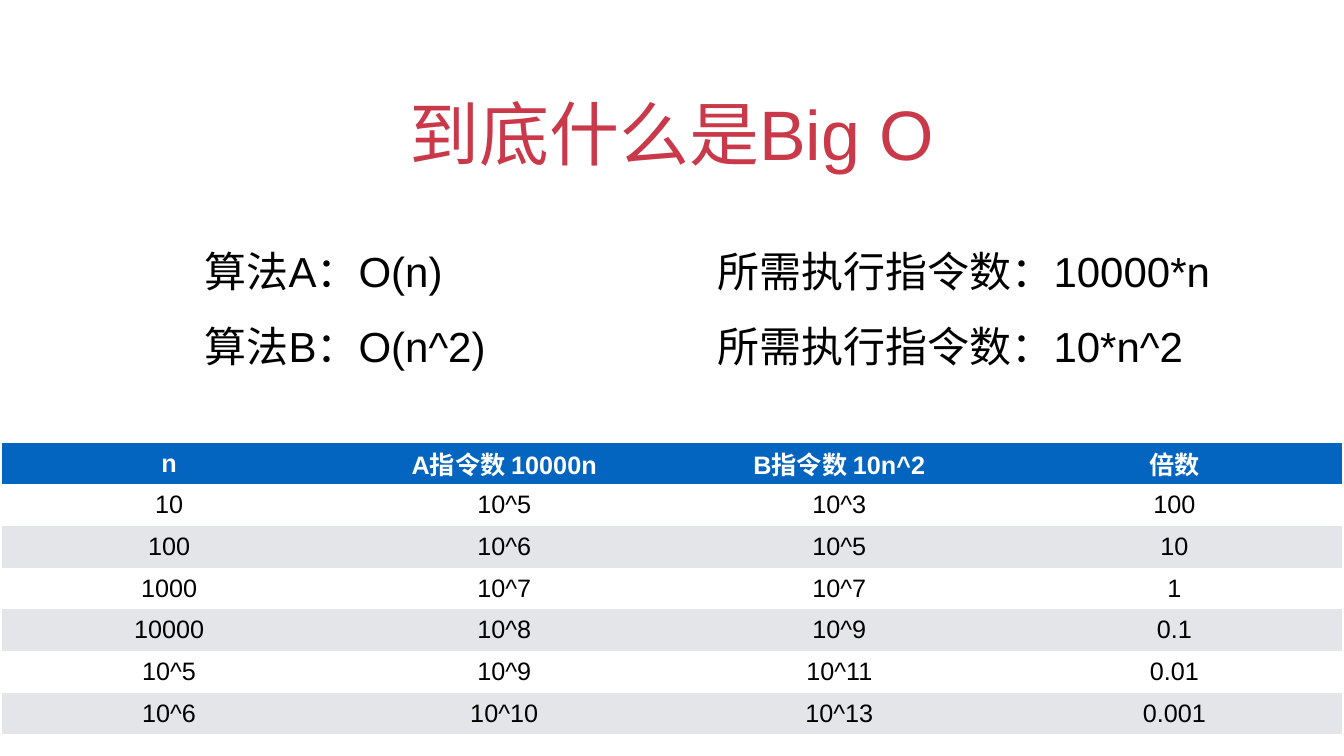
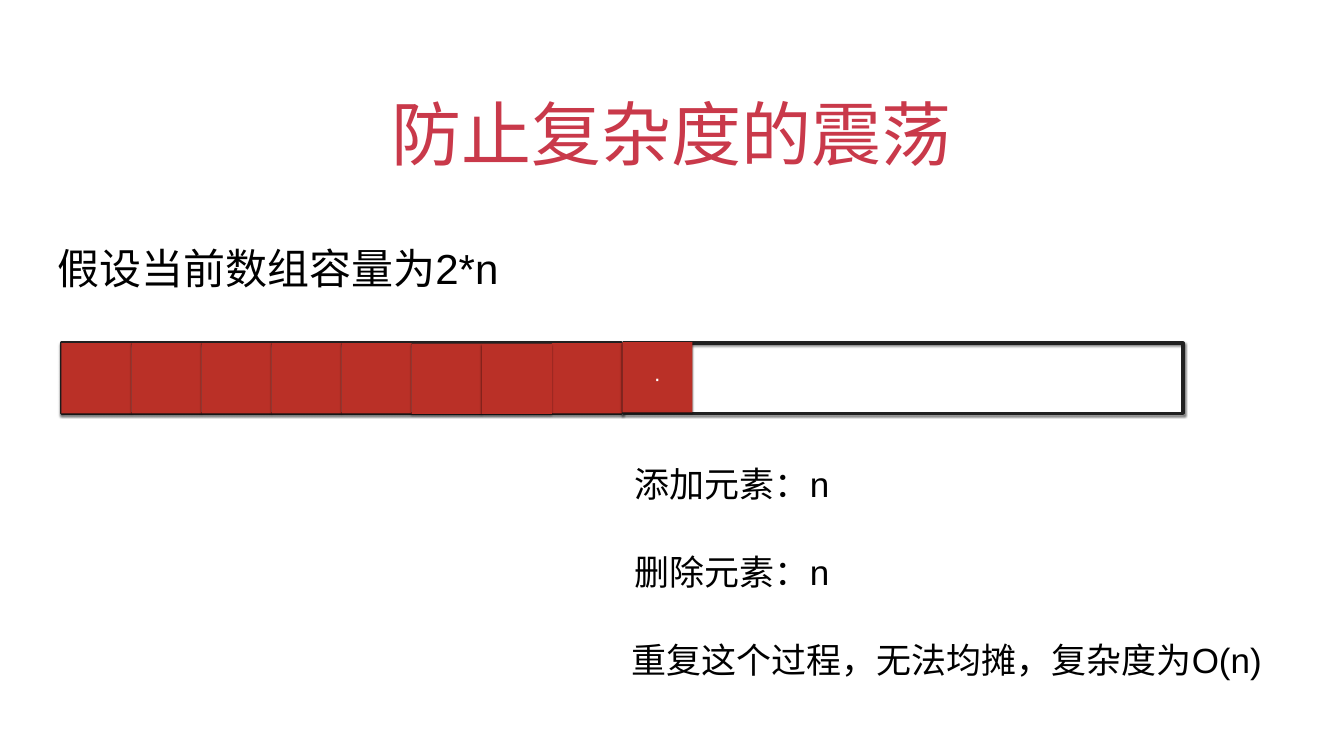
from lxml.etree import SubElement
from pptx import Presentation
from pptx.dml.color import RGBColor
from pptx.enum.shapes import MSO_SHAPE
from pptx.enum.text import MSO_ANCHOR, MSO_AUTO_SIZE, PP_ALIGN
from pptx.oxml.ns import qn
from pptx.util import Inches, Pt

FONT = "Arial"
TITLE_RED = RGBColor(0xC9, 0x39, 0x4A)
CELL_RED = RGBColor(0xBA, 0x30, 0x27)
OUTLINE = RGBColor(0x21, 0x21, 0x21)
HEADER_BLUE = RGBColor(0x03, 0x65, 0xC0)
BAND_GREY = RGBColor(0xE3, 0xE5, 0xE8)
BLACK = RGBColor(0, 0, 0)
WHITE = RGBColor(0xFF, 0xFF, 0xFF)
INSET = Inches(0.06)
NO_GRID_STYLE = "{2D5ABB26-0587-4C30-8999-92F81FD0307C}"


def write(frame, text, size=60, color=BLACK, bold=False, align=PP_ALIGN.LEFT, spacing=None):
    """Fill a text frame, one paragraph for each line of text."""
    for number, line in enumerate(text.split("\n")):
        para = frame.add_paragraph() if number else frame.paragraphs[0]
        para.alignment = align
        para.line_spacing = spacing
        span = para.add_run()
        span.text = line
        span.font.name = FONT
        span.font.size = Pt(size)
        span.font.bold = bold
        span.font.color.rgb = color


def add_box(page, kind, left, top, width, height, fill=None, line=None, shadow=False,
            anchor=MSO_ANCHOR.MIDDLE, grow=False):
    """Add a text box (kind None) or a preset shape and return it."""
    area = [Inches(value) for value in (left, top, width, height)]
    if kind is None:
        box = page.shapes.add_textbox(*area)
    else:
        box = page.shapes.add_shape(kind, *area)
    if fill is None:
        box.fill.background()
    else:
        box.fill.solid()
        box.fill.fore_color.rgb = fill
    if line is None:
        box.line.fill.background()
    else:
        box.line.color.rgb = line
        box.line.width = Pt(5)
    if shadow:
        box.shadow.inherit = False
        effects = box._element.spPr.find(qn("a:effectLst"))
        outer = SubElement(effects, qn("a:outerShdw"), blurRad=str(Pt(3)), dist=str(Pt(2)),
                           dir="5400000", rotWithShape="0")
        tint = SubElement(outer, qn("a:srgbClr"), val=str(BLACK))
        SubElement(tint, qn("a:alpha"), val="50000")
    frame = box.text_frame
    frame.word_wrap = True
    frame.vertical_anchor = anchor
    frame.margin_left = frame.margin_right = frame.margin_top = frame.margin_bottom = INSET
    if grow:
        frame.auto_size = MSO_AUTO_SIZE.SHAPE_TO_FIT_TEXT
    return box


deck = Presentation()
deck.slide_width = Inches(26.67)
deck.slide_height = Inches(15)

# Pages with their shared title
pages = []
for title in ("到底什么是Big O", "防止复杂度的震荡"):
    page = deck.slides.add_slide(deck.slide_layouts[6])
    box = add_box(page, None, 1.94, 1.3, 22.78, 2.22, anchor=MSO_ANCHOR.BOTTOM)
    write(box.text_frame, title, size=100, color=TITLE_RED, align=PP_ALIGN.CENTER)
    pages.append(page)
big_o_page, thrash_page = pages

# Big O: the two algorithms and their instruction counts
for left, width, text in (
    (4, 7.9, "算法A：O(n)\n算法B：O(n^2)"),
    (14.18, 10.14, "所需执行指令数：10000*n\n所需执行指令数：10*n^2"),
):
    box = add_box(big_o_page, None, left, 4.35, width, 3.03, grow=True)
    write(box.text_frame, text, spacing=1.5)

# Big O: comparison table
rows = [
    ("n", "A指令数 10000n", "B指令数 10n^2", "倍数"),
    ("10", "10^5", "10^3", "100"),
    ("100", "10^6", "10^5", "10"),
    ("1000", "10^7", "10^7", "1"),
    ("10000", "10^8", "10^9", "0.1"),
    ("10^5", "10^9", "10^11", "0.01"),
    ("10^6", "10^10", "10^13", "0.001"),
]
table = big_o_page.shapes.add_table(len(rows), 4, Inches(0.03), Inches(8.78),
                                    Inches(26.6), Inches(5.79)).table
table.horz_banding = False
table._tbl.tblPr.find(qn("a:tableStyleId")).text = NO_GRID_STYLE
for row_number, row in enumerate(rows):
    header = row_number == 0
    fill = HEADER_BLUE if header else WHITE if row_number % 2 else BAND_GREY
    for column, text in enumerate(row):
        cell = table.cell(row_number, column)
        cell.fill.solid()
        cell.fill.fore_color.rgb = fill
        cell.vertical_anchor = MSO_ANCHOR.MIDDLE
        cell.margin_left = cell.margin_right = cell.margin_top = cell.margin_bottom = INSET
        write(cell.text_frame, text, size=36, color=WHITE if header else BLACK,
              bold=header, align=PP_ALIGN.CENTER)

# Thrashing: array capacity
box = add_box(thrash_page, None, 1.08, 4.42, 19.95, 1.28, grow=True)
write(box.text_frame, "假设当前数组容量为2*n", spacing=1.5)

# Thrashing: full first half, then the empty half with one new element
SIDE = 1.39
add_box(thrash_page, MSO_SHAPE.RECTANGLE, 1.22, 6.81, 11.11, SIDE, line=OUTLINE, shadow=True)
for index in (0, 1, 2, 7, 3, 4, 5, 6):
    top = 6.82 if index in (5, 6) else 6.81
    add_box(thrash_page, MSO_SHAPE.RECTANGLE, round(1.22 + index * SIDE, 2), top, SIDE, SIDE,
            fill=CELL_RED, shadow=True)
add_box(thrash_page, MSO_SHAPE.RECTANGLE, 12.37, 6.81, 11.11, SIDE, line=OUTLINE, shadow=True)
new_element = add_box(thrash_page, MSO_SHAPE.RECTANGLE, 12.35, 6.79, SIDE, SIDE,
                      fill=CELL_RED, shadow=True)
write(new_element.text_frame, "·", size=32, color=WHITE, align=PP_ALIGN.CENTER)

# Thrashing: cost of each step
for step, (left, width, text) in enumerate((
    (11.92, 5.21, "添加元素：n"),
    (11.92, 5.21, "删除元素：n"),
    (11.05, 15.47, "重复这个过程，无法均摊，复杂度为O(n)"),
)):
    box = add_box(thrash_page, None, left, 8.85 + step * 1.74, width, 1.08, grow=True)
    write(box.text_frame, text, size=50, align=PP_ALIGN.CENTER, spacing=1.5)

deck.save("out.pptx")
